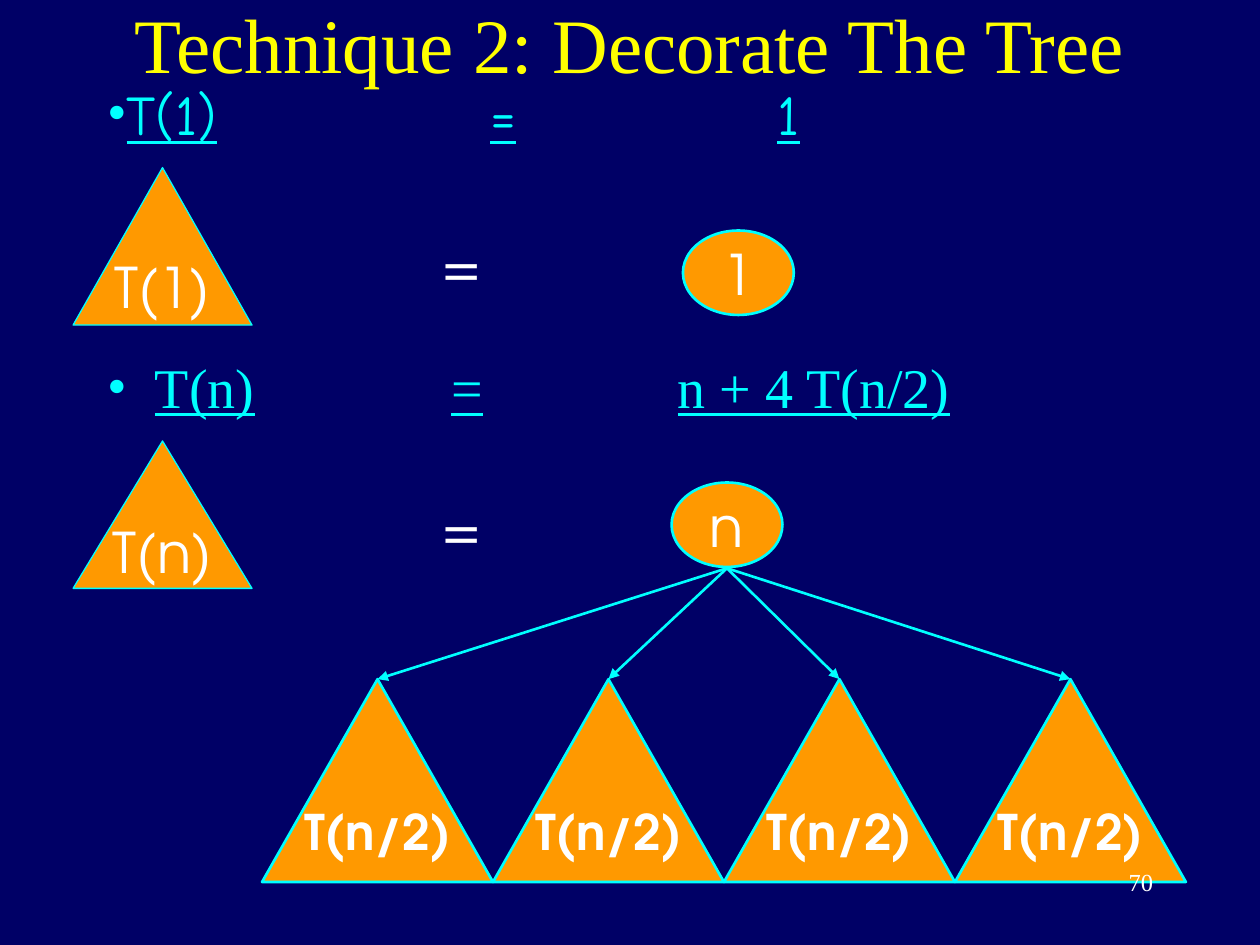
import pptx
import pptx.dml.color
import pptx.enum.shapes
import pptx.enum.text
import pptx.oxml
import pptx.util
from dataclasses import dataclass
from lxml import etree

Inches = pptx.util.Inches
Align = pptx.enum.text.PP_ALIGN
Anchor = pptx.enum.text.MSO_ANCHOR
Preset = pptx.enum.shapes.MSO_SHAPE


@dataclass(frozen=True)
class Theme:
    background: str = "000066"
    title: str = "FFFF00"
    accent: str = "00FFFF"
    fill: str = "FF9900"
    text: str = "FFFFFF"
    serif: str = "Times New Roman"
    rounded: str = "TeX Gyre Adventor"
    comic: str = "Comic Neue"
    title_size: int = 44
    body_size: int = 32
    leaf_size: int = 28
    number_size: int = 14


def color(value):
    return pptx.dml.color.RGBColor.from_string(value)


def add_element(parent, tag, **attributes):
    element = etree.SubElement(parent, pptx.oxml.ns.qn(tag))
    for name, value in attributes.items():
        element.set(name, str(value))
    return element


def write_text(shape, text, font, size, ink, align=Align.CENTER, anchor=Anchor.MIDDLE,
               wrap=True, bold=False, underline=False):
    """Put one formatted paragraph in a shape and return the paragraph."""
    frame = shape.text_frame
    frame.auto_size = pptx.enum.text.MSO_AUTO_SIZE.NONE
    frame.word_wrap = wrap
    frame.vertical_anchor = anchor
    para = frame.paragraphs[0]
    para.alignment = align
    para.space_before = pptx.util.Pt(0)
    span = para.add_run()
    span.text = text
    span.font.name = font
    span.font.size = pptx.util.Pt(size)
    span.font.bold = bold
    span.font.underline = underline
    span.font.color.rgb = color(ink)
    return para


class TreeSlide:
    def __init__(self, slide, theme):
        self.slide = slide
        self.theme = theme
        slide.background.fill.solid()
        slide.background.fill.fore_color.rgb = color(theme.background)

    def place(self, shape, left, top, width, height):
        shape.left, shape.top = Inches(left), Inches(top)
        shape.width, shape.height = Inches(width), Inches(height)

    def title(self, text, *bounds):
        shape = self.slide.shapes.title
        self.place(shape, *bounds)
        write_text(shape, text, self.theme.serif, self.theme.title_size, self.theme.title)

    def equation(self, index, parts, font, hanging, tabs, *bounds):
        """Write a bulleted, underlined equation with its parts on tab stops."""
        shape = self.slide.placeholders[index]
        self.place(shape, *bounds)
        para = write_text(shape, "\t".join(parts), font, self.theme.body_size,
                          self.theme.accent, Align.LEFT, Anchor.TOP, underline=True)
        properties = para._p.get_or_add_pPr()
        properties.set("marL", str(Inches(hanging)))
        properties.set("indent", str(-Inches(hanging)))
        bullet_color = add_element(properties, "a:buClr")
        add_element(bullet_color, "a:srgbClr", val=self.theme.accent)
        add_element(properties, "a:buFont", typeface=self.theme.serif)
        add_element(properties, "a:buChar", char="•")
        stops = add_element(properties, "a:tabLst")
        for tab in tabs:
            add_element(stops, "a:tab", pos=Inches(tab), algn="l")

    def label(self, text, font, size, align, *bounds):
        box = self.slide.shapes.add_textbox(*map(Inches, bounds))
        write_text(box, text, font, size, self.theme.text, align, Anchor.TOP)

    def node(self, preset, text, *bounds, size=None, line=1.5, bold=False):
        shape = self.slide.shapes.add_shape(preset, *map(Inches, bounds))
        shape.shadow.inherit = False
        shape.fill.solid()
        shape.fill.fore_color.rgb = color(self.theme.fill)
        shape.line.color.rgb = color(self.theme.accent)
        shape.line.width = pptx.util.Pt(line)
        write_text(shape, text, self.theme.rounded, size or self.theme.body_size,
                   self.theme.text, wrap=False, bold=bold)

    def arrow(self, start, end):
        points = map(Inches, (*start, *end))
        connector = self.slide.shapes.add_connector(
            pptx.enum.shapes.MSO_CONNECTOR.STRAIGHT, *points)
        connector.line.color.rgb = color(self.theme.accent)
        connector.line.width = pptx.util.Pt(1.5)
        add_element(connector.line._get_or_add_ln(), "a:tailEnd", type="triangle")
        add_element(connector._element.spPr, "a:effectLst")


def main():
    deck = pptx.Presentation()
    deck.slide_width, deck.slide_height = Inches(10), Inches(7.5)
    theme = Theme()
    page = TreeSlide(deck.slides.add_slide(deck.slide_layouts[3]), theme)

    # Title and the two equations
    page.title("Technique 2: Decorate The Tree", 0.75, 0, 8.5, 0.67)
    page.equation(1, ("T(1)", "=", "1"), theme.comic, 0, (3.04, 5.32),
                  0.75, 0.58, 7.75, 0.83)
    page.equation(2, ("T(n)", "=", "n + 4 T(n/2)"), theme.serif, 0.38, (2.73, 4.53),
                  0.75, 2.75, 7.75, 0.83)

    # Arrows from the root to its four subtrees
    leaf_left, leaf_top, leaf_width = 2.08, 5.39, 1.833
    leaves = [leaf_left + leaf_width * i for i in range(4)]
    for left in leaves:
        page.arrow((5.77, 4.51), (left + leaf_width / 2, leaf_top))
    for left in leaves:
        page.node(Preset.ISOSCELES_TRIANGLE, "T(n/2)", left, leaf_top, leaf_width, 1.61,
                  size=theme.leaf_size, bold=True)

    # Base case and recursive case: tree = decorated root
    cases = (
        ("T(1)", 1.33, 1.25, 1.78, "1", 5.42, 1.83),
        ("T(n)", 3.5, 1.17, 3.87, "n", 5.33, 3.83),
    )
    for tree, top, height, equals_top, root, root_left, root_top in cases:
        page.node(Preset.ISOSCELES_TRIANGLE, tree, 0.58, top, 1.42, height, line=0.75)
        page.label("=", theme.rounded, theme.body_size, Align.CENTER,
                   3.08, equals_top, 1.17, 0.64)
        page.node(Preset.OVAL, root, root_left, root_top, 0.88, 0.67)

    # Slide number
    page.label("70", theme.serif, theme.number_size, Align.RIGHT, 7.17, 6.83, 2.08, 0.5)

    deck.save("out.pptx")


if __name__ == "__main__":
    main()
